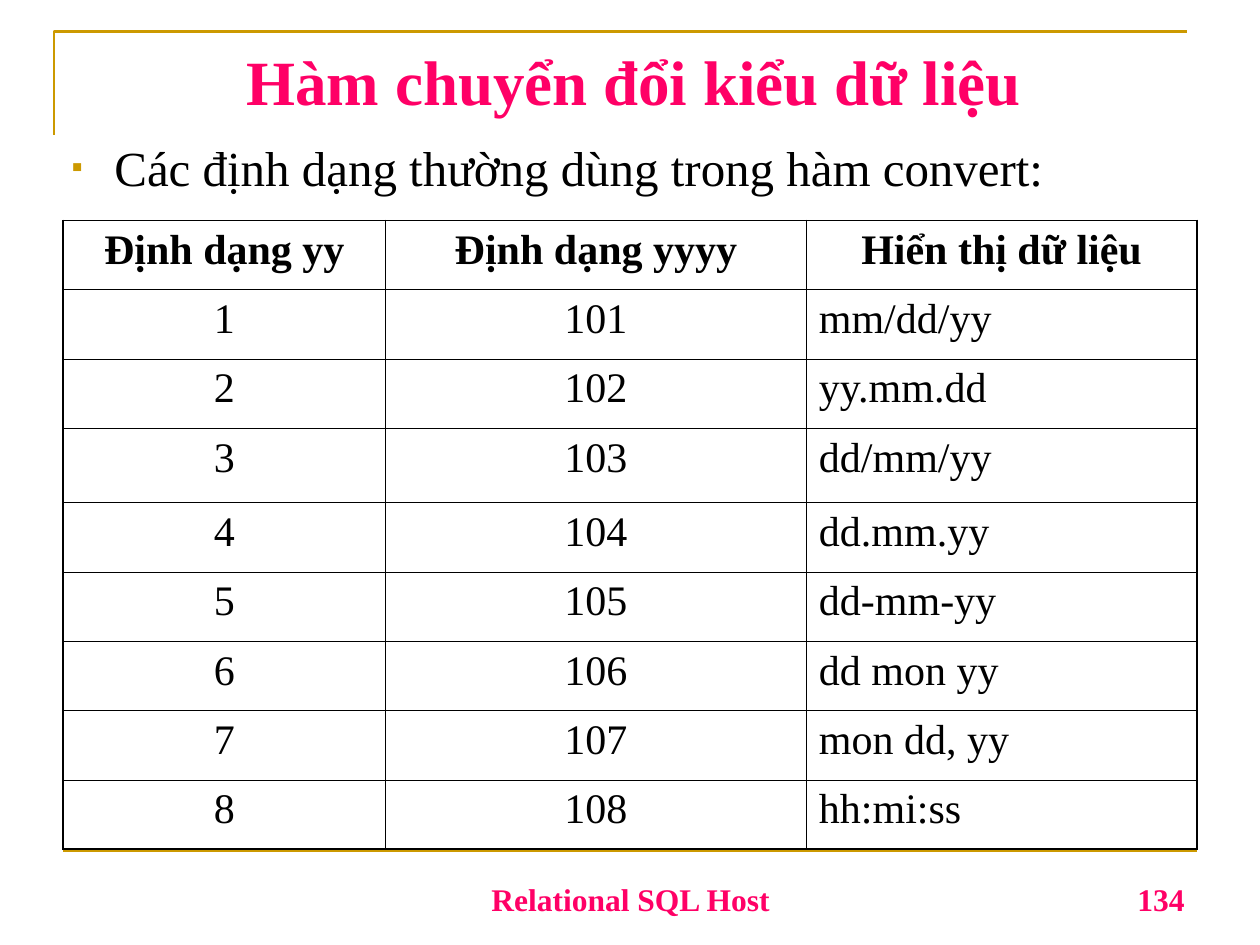
from typing import NamedTuple

from lxml import etree
from pptx import Presentation
from pptx import util as u
from pptx.dml.color import RGBColor
from pptx.enum import shapes, text
from pptx.oxml import ns

PINK = RGBColor(0xFF, 0x00, 0x66)
GOLD = RGBColor(0xCC, 0x99, 0x00)
BLACK = RGBColor(0x00, 0x00, 0x00)
FONT = "Times New Roman"
LEFT, CENTER, RIGHT = text.PP_ALIGN.LEFT, text.PP_ALIGN.CENTER, text.PP_ALIGN.RIGHT
TOP, MIDDLE, BOTTOM = (text.MSO_ANCHOR.TOP, text.MSO_ANCHOR.MIDDLE,
                       text.MSO_ANCHOR.BOTTOM)
OUTER_BORDER, INNER_BORDER = 1.08, 0.45


class Area(NamedTuple):
    left: float
    top: float
    width: float
    height: float

    def lengths(self) -> list:
        return [u.Inches(value) for value in self]


class Column(NamedTuple):
    header: str
    width: float
    align: text.PP_ALIGN


COLUMNS = [
    Column("Định dạng yy", 2.56, CENTER),
    Column("Định dạng yyyy", 3.34, CENTER),
    Column("Hiển thị dữ liệu", 3.1, LEFT),
]
DATE_FORMATS = ["mm/dd/yy", "yy.mm.dd", "dd/mm/yy", "dd.mm.yy",
                "dd-mm-yy", "dd mon yy", "mon dd, yy", "hh:mi:ss"]
ROW_HEIGHT, TALL_ROW, TALL_ROW_HEIGHT = 0.55, 3, 0.59


def write(frame, content: str, *, size: float, color=BLACK, bold=False,
          align=LEFT, anchor=TOP):
    frame.word_wrap = True
    frame.vertical_anchor = anchor
    para = frame.paragraphs[0]
    para.alignment = align
    span = para.add_run()
    span.text = content
    span.font.name = FONT
    span.font.size = u.Pt(size)
    span.font.bold = bold
    span.font.color.rgb = color
    return para


def add_text(slide, area: Area, content: str, **style):
    frame = slide.shapes.add_textbox(*area.lengths()).text_frame
    return frame, write(frame, content, **style)


def set_bullet(para, char: str, color: RGBColor, percent: int, indent: float) -> None:
    props = para._p.get_or_add_pPr()
    props.set("marL", str(u.Inches(indent)))
    props.set("indent", str(-u.Inches(indent)))
    bullet_color = etree.SubElement(props, ns.qn("a:buClr"))
    etree.SubElement(bullet_color, ns.qn("a:srgbClr"), val=str(color))
    etree.SubElement(props, ns.qn("a:buSzPct"), val=str(percent * 1000))
    etree.SubElement(props, ns.qn("a:buFont"), typeface=FONT)
    etree.SubElement(props, ns.qn("a:buChar"), char=char)


def add_rules(slide) -> None:
    """Draw the corner around the title and the line above the footer."""
    builder = slide.shapes.build_freeform(u.Inches(0.43), u.Inches(1.07))
    builder.add_line_segments([(u.Inches(0.43), u.Inches(0.25)),
                               (u.Inches(9.42), u.Inches(0.25))], close=False)
    corner = builder.convert_to_shape()
    corner.shadow.inherit = False
    corner.fill.background()
    footer_rule = slide.shapes.add_connector(
        shapes.MSO_CONNECTOR.STRAIGHT, u.Inches(0.5), u.Inches(6.75),
        u.Inches(9.5), u.Inches(6.75))
    etree.SubElement(footer_rule._element.spPr, ns.qn("a:effectLst"))
    for rule in (corner, footer_rule):
        rule.line.color.rgb = GOLD
        rule.line.width = u.Pt(1.5)


def set_borders(cell, widths: dict) -> None:
    """Put the four border lines ahead of the cell's fill, as the schema asks."""
    props = cell._tc.get_or_add_tcPr()
    for index, (side, width) in enumerate(widths.items()):
        line = etree.Element(ns.qn(f"a:ln{side}"), w=str(u.Pt(width)))
        fill = etree.SubElement(line, ns.qn("a:solidFill"))
        etree.SubElement(fill, ns.qn("a:srgbClr"), val=str(BLACK))
        props.insert(index, line)


def add_format_table(slide, area: Area) -> None:
    rows = [[column.header for column in COLUMNS]]
    rows += [[str(code), str(100 + code), shown]
             for code, shown in enumerate(DATE_FORMATS, 1)]
    table = slide.shapes.add_table(len(rows), len(COLUMNS), *area.lengths()).table
    table.horz_banding = False
    last_row, last_col = len(rows) - 1, len(COLUMNS) - 1
    for c, column in enumerate(COLUMNS):
        table.columns[c].width = u.Inches(column.width)
    for r, row in enumerate(rows):
        table.rows[r].height = u.Inches(
            TALL_ROW_HEIGHT if r == TALL_ROW else ROW_HEIGHT)
        for c, content in enumerate(row):
            cell = table.cell(r, c)
            cell.fill.background()
            write(cell.text_frame, content, size=24, bold=r == 0,
                  align=CENTER if r == 0 else COLUMNS[c].align)
            on_edge = {"L": c == 0, "R": c == last_col,
                       "T": r == 0, "B": r == last_row}
            set_borders(cell, {side: OUTER_BORDER if edge else INNER_BORDER
                               for side, edge in on_edge.items()})


def main() -> None:
    deck = Presentation()
    deck.slide_width, deck.slide_height = u.Inches(10), u.Inches(7.5)
    page = deck.slides.add_slide(deck.slide_layouts[5])
    add_rules(page)

    footer_style = dict(size=18, color=PINK, bold=True, anchor=BOTTOM)
    add_text(page, Area(3.42, 6.83, 3.17, 0.5), "Relational SQL Host",
             align=CENTER, **footer_style)
    add_text(page, Area(7.17, 6.83, 2.33, 0.5), "134", align=RIGHT, **footer_style)

    title = page.shapes.title
    title.left, title.top, title.width, title.height = Area(
        0.57, 0.21, 8.92, 0.85).lengths()
    write(title.text_frame, "Hàm chuyển đổi kiểu dữ liệu", size=36, color=PINK,
          bold=True, align=CENTER, anchor=MIDDLE)

    add_format_table(page, Area(0.5, 1.75, 9, 4.99))

    intro, para = add_text(page, Area(0.47, 0.99, 8.46, 0.57),
                           "Các định dạng thường dùng trong hàm convert:", size=28)
    intro.margin_top = u.Inches(0.1)
    set_bullet(para, "▪", GOLD, 65, 0.34)

    deck.save("out.pptx")


if __name__ == "__main__":
    main()
